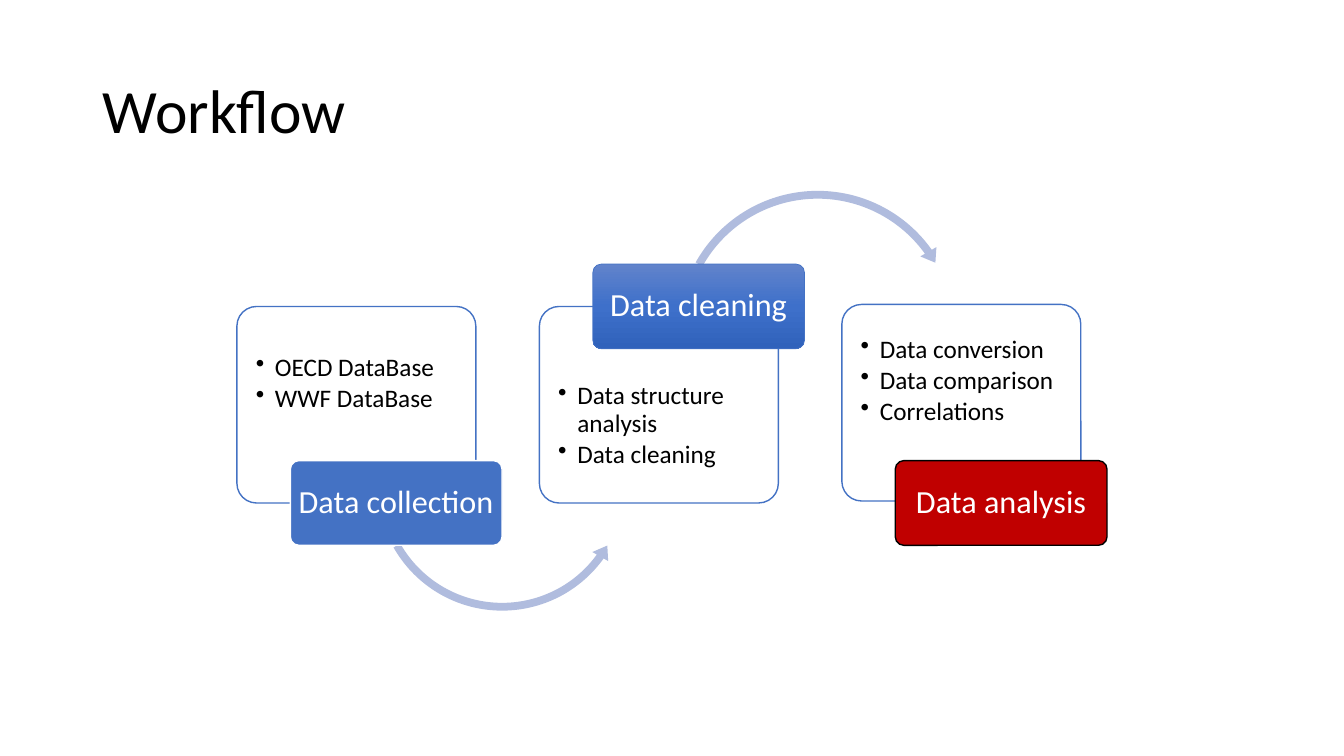
from lxml import etree
from pptx import Presentation
from pptx.dml.color import RGBColor
from pptx.enum.shapes import MSO_SHAPE as SHAPE
from pptx.enum.text import MSO_ANCHOR as ANCHOR, PP_ALIGN as ALIGN
from pptx.oxml import parse_xml
from pptx.oxml.ns import nsdecls, qn
from pptx.util import Inches, Pt

BLUE, PALE, RED, WHITE, BLACK = "4472C4", "B0BCDE", "C00000", "FFFFFF", "000000"
SHEEN = [(0, "6183CB"), (50, "3E70CA"), (100, "3062BB")]

# Grid in inches: three steps at an equal pitch
LEFT, PITCH = 2.35, 3.0
CARD_W, CARD_H = 2.37, 1.95
LABEL_W, LABEL_H, LABEL_SHIFT = 2.1, 0.84, 0.53


def paint(color_format, hex_color):
    color_format.rgb = RGBColor.from_string(hex_color)


def add_part(kind, box, adjustments, fill, line=None, line_width=1):
    part = slide.shapes.add_shape(kind, *map(Inches, box))
    part.shadow.inherit = False
    for i, value in enumerate(adjustments):
        part.adjustments[i] = value
    part.fill.solid()
    paint(part.fill.fore_color, fill)
    if line:
        paint(part.line.color, line)
        part.line.width = Pt(line_width)
    else:
        part.line.fill.background()
    return part


deck = Presentation()
deck.slide_width, deck.slide_height = Inches(13.33), Inches(7.5)
slide = deck.slides.add_slide(deck.slide_layouts[5])

# Title
title = slide.shapes.title
title.left, title.top, title.width, title.height = map(Inches, (0.92, 0.4, 11.5, 1.45))
title.text_frame.text = "Workflow"
title.text_frame.vertical_anchor = ANCHOR.MIDDLE
heading = title.text_frame.paragraphs[0]
heading.alignment, heading.line_spacing = ALIGN.LEFT, 0.9
heading.font.name, heading.font.size = "Calibri", Pt(44)
paint(heading.font.color, BLACK)

# Steps: each has a card, an arrow to the next step, and a label over the card's edge
steps = [
    {"label": "Data collection", "items": ["OECD DataBase", "WWF DataBase"],
     "card_top": 3.04, "label_top": 4.57, "fill": BLUE, "line": WHITE, "line_width": 1,
     "arrow": (SHAPE.LEFT_CIRCULAR_ARROW, (3.69, 3.53, 2.58, 2.58),
               (0.03, 3.712, 21.467, 90.245, 0.035))},
    {"label": "Data cleaning", "items": ["Data structure analysis", "Data cleaning"],
     "card_top": 3.04, "label_top": 2.62, "fill": BLUE, "line": BLUE, "line_width": 0.5,
     "sheen": SHEEN,
     "arrow": (SHAPE.CIRCULAR_ARROW, (6.67, 1.84, 2.88, 2.88),
               (0.027, 3.297, 194.716, 125.524, 0.032))},
    {"label": "Data analysis", "items": ["Data conversion", "Data comparison", "Correlations"],
     "card_top": 3.02, "label_top": 4.57, "fill": RED, "line": BLACK, "line_width": 1},
]

for column, step in enumerate(steps):
    left = LEFT + column * PITCH
    label_above = step["label_top"] < step["card_top"]

    # Card, with its text kept clear of the label
    card = add_part(SHAPE.ROUNDED_RECTANGLE, (left, step["card_top"], CARD_W, CARD_H),
                    [0.1], WHITE, BLUE)
    tint = card.fill._xPr.find(qn("a:solidFill"))[0]
    etree.SubElement(tint, qn("a:alpha"), val="90000")
    near, far = Inches(0.13), Inches(0.55)
    frame = card.text_frame
    insets = {"margin_left": near, "margin_right": near,
              "margin_top": far if label_above else near,
              "margin_bottom": near if label_above else far,
              "word_wrap": True, "vertical_anchor": ANCHOR.MIDDLE}
    for name, value in insets.items():
        setattr(frame, name, value)
    for row, item in enumerate(step["items"]):
        bullet = frame.add_paragraph() if row else frame.paragraphs[0]
        bullet.text = item
        properties = bullet._p.get_or_add_pPr()
        properties.set("marL", str(Inches(0.19)))
        properties.set("indent", str(-Inches(0.19)))
        etree.SubElement(properties, qn("a:buChar"), char="•")
        bullet.level, bullet.alignment = 1, ALIGN.LEFT
        bullet.line_spacing, bullet.space_after = 0.9, Pt(2.7)
        bullet.font.name, bullet.font.size = "Calibri", Pt(18)
        paint(bullet.font.color, BLACK)

    # Arrow to the next step
    if "arrow" in step:
        add_part(*step["arrow"], PALE)

    # Label
    label = add_part(SHAPE.ROUNDED_RECTANGLE,
                     (left + LABEL_SHIFT, step["label_top"], LABEL_W, LABEL_H),
                     [0.1], step["fill"], step["line"], step["line_width"])
    if "sheen" in step:
        stops = "".join(f'<a:gs pos="{share * 1000}"><a:srgbClr val="{color}"/></a:gs>'
                        for share, color in step["sheen"])
        solid = label.fill._xPr.find(qn("a:solidFill"))
        solid.getparent().replace(solid, parse_xml(
            f'<a:gradFill {nsdecls("a")} rotWithShape="1"><a:gsLst>{stops}</a:gsLst>'
            '<a:lin ang="5400000" scaled="0"/></a:gradFill>'))
    frame = label.text_frame
    frame.word_wrap, frame.vertical_anchor = True, ANCHOR.MIDDLE
    for side in ("left", "right", "top", "bottom"):
        setattr(frame, f"margin_{side}", Inches(0.03))
    frame.text = step["label"]
    caption = frame.paragraphs[0]
    caption.alignment, caption.line_spacing = ALIGN.CENTER, 0.9
    caption.font.name, caption.font.size = "Calibri", Pt(23)
    paint(caption.font.color, WHITE)

deck.save("out.pptx")
